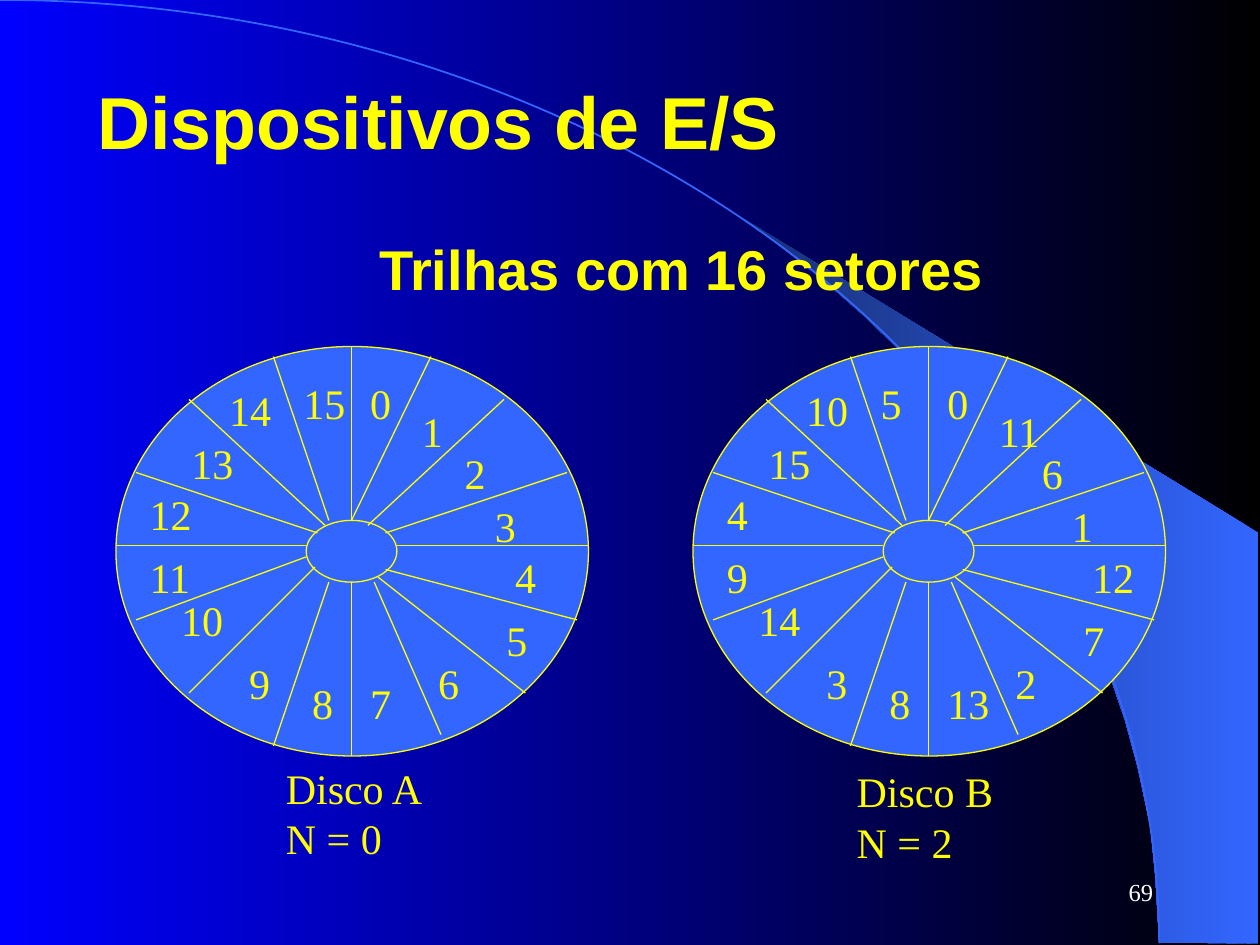
"""Build a slide that compares the sector numbering of two interleaved disks."""
from typing import NamedTuple

from lxml import etree
from pptx import Presentation
from pptx.dml.color import RGBColor
from pptx.enum.shapes import MSO_CONNECTOR, MSO_SHAPE
from pptx.enum.text import MSO_ANCHOR, MSO_AUTO_SIZE, PP_ALIGN
from pptx.oxml.ns import qn
from pptx.util import Pt

ELLIPSE, ARC = MSO_SHAPE.OVAL, MSO_SHAPE.ARC
STRAIGHT = MSO_CONNECTOR.STRAIGHT
TOP, MIDDLE = MSO_ANCHOR.TOP, MSO_ANCHOR.MIDDLE
LEFT, RIGHT = PP_ALIGN.LEFT, PP_ALIGN.RIGHT
FIXED_SIZE = MSO_AUTO_SIZE.NONE

EMU_PER_PX = 9144
TITLE_ONLY = 5
YELLOW, BLUE, WHITE = "FFFF00", "3366FF", "FFFFFF"
SANS, SERIF = "Arial", "Times New Roman"
SECTORS = 16


class Box(NamedTuple):
    left: int
    top: int
    width: int
    height: int


class Spoke(NamedTuple):
    x1: int
    y1: int
    x2: int
    y2: int


class Disk(NamedTuple):
    name: str
    interleave: int
    shift: int
    caption: Box


PLATTER = Box(92, 275, 375, 325)
HUB = Box(243, 413, 72, 49)
SPOKES = [
    Spoke(92, 433, 243, 433), Spoke(315, 433, 467, 433),
    Spoke(279, 275, 279, 413), Spoke(279, 462, 279, 600),
    Spoke(108, 492, 243, 442), Spoke(279, 413, 342, 283),
    Spoke(217, 592, 261, 462), Spoke(306, 423, 450, 375),
    Spoke(297, 462, 350, 583), Spoke(306, 452, 458, 492),
    Spoke(261, 413, 217, 283), Spoke(252, 423, 108, 375),
    Spoke(250, 450, 150, 550), Spoke(300, 458, 417, 550),
    Spoke(258, 417, 150, 317), Spoke(292, 417, 400, 317),
]
SLOT_CORNERS = [
    (284, 295), (325, 317), (359, 350), (383, 392),
    (399, 433), (392, 483), (338, 517), (284, 533),
    (238, 533), (188, 517), (134, 467), (109, 433),
    (109, 383), (142, 342), (172, 300), (231, 295),
]
DISKS = [
    Disk("Disco A", 0, 0, Box(217, 600, 130, 130)),
    Disk("Disco B", 2, 458, Box(670, 603, 128, 130)),
]
BAND = [
    (920, 748), (999, 749), (999, 423), (589, 173), (624, 199), (653, 222),
    (685, 250), (716, 280), (762, 330), (803, 384), (832, 431), (858, 479),
    (878, 528), (893, 572), (903, 609), (913, 656), (917, 696),
]


def px(length: int) -> int:
    """Turn px into EMU."""
    return length * EMU_PER_PX


def color(value: str) -> RGBColor:
    """Turn a hex string into a colour."""
    return RGBColor.from_string(value)


def place(shape, box: Box) -> None:
    """Move and size a shape."""
    shape.left, shape.top, shape.width, shape.height = map(px, box)


def set_gradient(fill, start: str, end: str) -> None:
    """Fill with a gradient that runs from right to left."""
    fill.gradient()
    fill.gradient_angle = 180
    for stop, value in zip(fill.gradient_stops, (start, end)):
        stop.color.rgb = color(value)


def write(shape, text: str, size: int, font: str = SERIF, ink: str = YELLOW,
          bold: bool = False, align=LEFT, anchor=TOP, wrap: bool = False) -> None:
    """Fill a shape with formatted text, one paragraph a line."""
    frame = shape.text_frame
    frame.text = text
    frame.auto_size = FIXED_SIZE
    frame.word_wrap = wrap
    frame.vertical_anchor = anchor
    for paragraph in frame.paragraphs:
        paragraph.alignment = align
        paragraph.font.size = Pt(size)
        paragraph.font.name = font
        paragraph.font.bold = bold
        paragraph.font.color.rgb = color(ink)


def add_text(shapes, box: Box, text: str, size: int, **style) -> None:
    """Add a text box."""
    write(shapes.add_textbox(*map(px, box)), text, size, **style)


def add_ellipse(shapes, box: Box) -> None:
    """Add a blue ellipse with a yellow outline."""
    ellipse = shapes.add_shape(ELLIPSE, *map(px, box))
    ellipse.shadow.inherit = False
    ellipse.fill.solid()
    ellipse.fill.fore_color.rgb = color(BLUE)
    ellipse.line.color.rgb = color(YELLOW)
    ellipse.line.width = Pt(0.75)


def add_spoke(shapes, spoke: Spoke) -> None:
    """Add a line between two sectors."""
    line = shapes.add_connector(STRAIGHT, *map(px, spoke))
    line.line.color.rgb = color(YELLOW)
    line.line.width = Pt(0.75)
    etree.SubElement(line._element.spPr, qn("a:effectLst"))


def add_disk(shapes, disk: Disk) -> None:
    """Add a disk with its spokes and interleaved sector numbers."""
    parts = shapes.add_group_shape().shapes
    for box in (PLATTER, HUB):
        add_ellipse(parts, box._replace(left=box.left + disk.shift))
    for spoke in SPOKES:
        add_spoke(parts, spoke._replace(x1=spoke.x1 + disk.shift, x2=spoke.x2 + disk.shift))
    for sector in range(SECTORS):
        left, top = SLOT_CORNERS[sector * (disk.interleave + 1) % SECTORS]
        width = 36 if sector < 10 else 53
        add_text(parts, Box(left + disk.shift, top, width, 50), str(sector), 24)


def add_backdrop(slide) -> None:
    """Add the gradient background, the curved band and the arc."""
    set_gradient(slide.background.fill, "000000", "0000FF")
    builder = slide.shapes.build_freeform(*BAND[0], scale=EMU_PER_PX)
    builder.add_line_segments(BAND[1:], close=True)
    band = builder.convert_to_shape()
    band.shadow.inherit = False
    set_gradient(band.fill, BLUE, "172F75")
    band.line.fill.background()
    arc = slide.shapes.add_shape(ARC, *map(px, Box(-920, 0, 1840, 1497)))
    arc.shadow.inherit = False
    arc.fill.background()
    arc.line.color.rgb = color(BLUE)
    arc.line.width = Pt(1)


def main() -> None:
    """Build and save the slide."""
    deck = Presentation()
    deck.slide_width, deck.slide_height = px(1000), px(750)
    slide = deck.slides.add_slide(deck.slide_layouts[TITLE_ONLY])
    shapes = slide.shapes
    add_backdrop(slide)
    title = shapes.title
    place(title, Box(67, 33, 900, 125))
    write(title, "Dispositivos de E/S", 42, font=SANS, bold=True, anchor=MIDDLE, wrap=True)
    shapes._spTree.append(title._element)
    for disk in DISKS:
        add_text(shapes, disk.caption, f"{disk.name}\nN = {disk.interleave}", 24)
    add_text(shapes, Box(291, 181, 502, 64), "Trilhas com 16 setores", 32, font=SANS, bold=True)
    for disk in DISKS:
        add_disk(shapes, disk)
    add_text(shapes, Box(717, 683, 208, 50), "69", 14, ink=WHITE, align=RIGHT,
             anchor=MIDDLE, wrap=True)
    deck.save("out.pptx")


if __name__ == "__main__":
    main()
